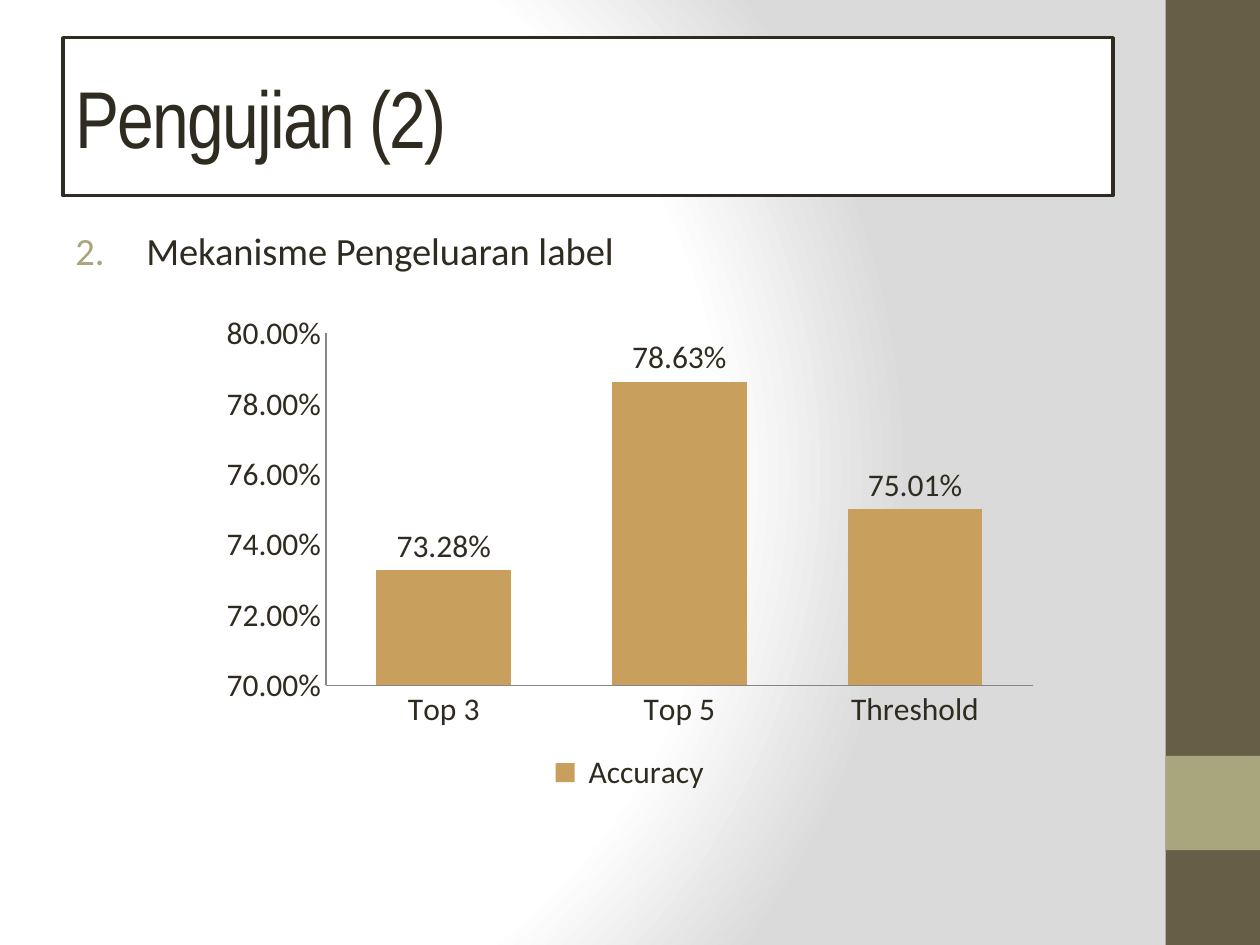
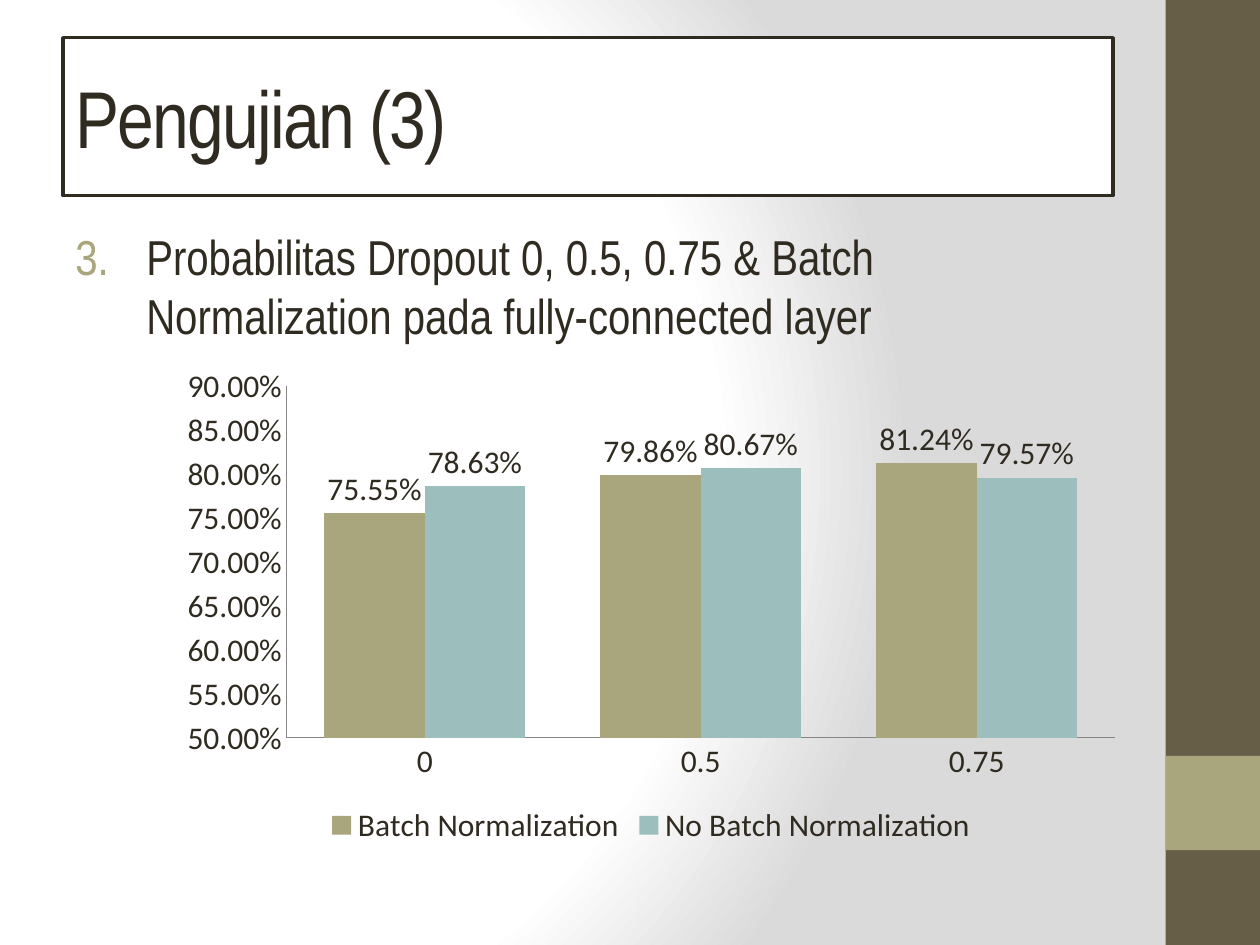
import dataclasses

import pptx
import pptx.chart.data
import pptx.dml.color
import pptx.enum.chart
import pptx.enum.shapes
import pptx.enum.text
import pptx.oxml
import pptx.oxml.ns
import pptx.util

Cm = pptx.util.Cm
Pt = pptx.util.Pt
qn = pptx.oxml.ns.qn

HUES = {
    "ink": "2F2B20",
    "white": "FFFFFF",
    "shade": "DADADA",
    "brown": "675E47",
    "olive": "A9A57C",
    "teal": "9CBEBD",
    "gold": "C89F5D",
    "gray": "868686",
}
NARROW = "Arial Narrow"
PLAIN = "Calibri"


@dataclasses.dataclass(frozen=True)
class Box:
    left: float
    top: float
    width: float
    height: float

    def span(self) -> tuple:
        return Cm(self.left), Cm(self.top), Cm(self.width), Cm(self.height)


@dataclasses.dataclass(frozen=True)
class Band:
    box: Box
    hue: str


@dataclasses.dataclass(frozen=True)
class Bars:
    name: str
    vals: tuple[float, ...]
    hue: str


@dataclasses.dataclass(frozen=True)
class Graph:
    box: Box
    cats: tuple[str, ...]
    bars: tuple[Bars, ...]
    low: float
    high: float
    step: float


@dataclasses.dataclass(frozen=True)
class Test:
    num: int
    text: str
    font: str
    size: int
    graph: Graph


HEAD = Box(1.27, 0.76, 21.17, 3.18)
BODY = Box(1.27, 4.45, 21.17, 13.34)
BANDS = (
    Band(Box(23.5, 0, 1.9, 19.05), "brown"),
    Band(Box(23.5, 15.24, 1.9, 1.9), "olive"),
)
TESTS = (
    Test(2, "Mekanisme Pengeluaran label", PLAIN, 22, Graph(
        Box(4.23, 6.14, 16.93, 9.95),
        ("Top 3", "Top 5", "Threshold"),
        (Bars(" Accuracy", (0.7328, 0.7863, 0.7501), "gold"),),
        0.7, 0.8, 0.02)),
    Test(3, "Probabilitas Dropout 0, 0.5, 0.75 & Batch Normalization "
            "pada fully-connected layer", NARROW, 28, Graph(
        Box(3.39, 7.2, 19.47, 9.95),
        ("0", "0.5", "0.75"),
        (Bars("Batch Normalization", (0.7555, 0.7986, 0.8124), "olive"),
         Bars("No Batch Normalization", (0.7863, 0.8067, 0.7957), "teal")),
        0.5, 0.9, 0.05)),
)


def tint(hue: str) -> pptx.dml.color.RGBColor:
    return pptx.dml.color.RGBColor.from_string(HUES[hue])


def paint(fill, hue: str) -> None:
    fill.solid()
    fill.fore_color.rgb = tint(hue)


def style(font, name: str, size: float) -> None:
    font.name = name
    font.size = Pt(size)
    font.color.rgb = tint("ink")


def parse(xml: str):
    return pptx.oxml.parse_xml(xml.replace(
        ">", f' {pptx.oxml.ns.nsdecls("a")}>' if "/>" not in xml.split(">")[0] + ">"
        else ">", 1))


def wash(slide) -> None:
    slide.background.fill.solid()
    stops = "".join(
        f'<a:gs pos="{pos * 1000}"><a:srgbClr val="{HUES[hue]}"/></a:gs>'
        for pos, hue in ((0, "white"), (75, "white"), (100, "shade")))
    grad = parse(
        f'<a:gradFill rotWithShape="1"><a:gsLst>{stops}</a:gsLst><a:path path="circle">'
        '<a:fillToRect l="20000" t="50000" r="100000" b="50000"/></a:path></a:gradFill>')
    old = next(slide.element.iter(qn("p:bgPr")))[0]
    old.getparent().replace(old, grad)


def draw_band(slide, band: Band) -> None:
    shape = slide.shapes.add_shape(
        pptx.enum.shapes.MSO_SHAPE.RECTANGLE, *band.box.span())
    shape.shadow.inherit = False
    paint(shape.fill, band.hue)
    shape.line.fill.background()


def add_text(slide, box: Box, text: str, *, font: str, size: float,
             track: float = 0, mid: bool = False, frame: bool = False,
             num: int = 0) -> None:
    shape = slide.shapes.add_textbox(*box.span())
    area = shape.text_frame
    area.word_wrap = True
    if mid:
        area.vertical_anchor = pptx.enum.text.MSO_ANCHOR.MIDDLE
    if frame:
        paint(shape.fill, "white")
        shape.line.color.rgb = tint("ink")
        shape.line.width = Pt(2)
    para = area.paragraphs[0]
    run = para.add_run()
    run.text = text
    style(run.font, font, size)
    if track:
        next(shape.element.iter(qn("a:rPr"))).set("spc", str(round(track * 100)))
    if num:
        para.space_before = Pt(size * 0.2)
        props = next(shape.element.iter(qn("a:pPr")))
        dent = Cm(1.43)
        props.set("marL", str(dent))
        props.set("indent", str(-dent))
        list_xml = parse(
            f'<a:pPr><a:buClr><a:srgbClr val="{HUES["olive"]}"/></a:buClr>'
            f'<a:buFont typeface="+mj-lt"/>'
            f'<a:buAutoNum type="arabicPeriod" startAt="{num}"/></a:pPr>')
        list_xml.find(qn("a:buFont")).set("typeface", font)
        props.extend(list(list_xml))


def draw_graph(slide, graph: Graph) -> None:
    data = pptx.chart.data.CategoryChartData(number_format="0.00%")
    data.categories = graph.cats
    for bars in graph.bars:
        data.add_series(bars.name, bars.vals)
    kinds = pptx.enum.chart
    chart = slide.shapes.add_chart(
        kinds.XL_CHART_TYPE.COLUMN_CLUSTERED, *graph.box.span(), data).chart
    style(chart.font, PLAIN, 18)
    chart.has_title = False
    chart.has_legend = True
    chart.legend.position = kinds.XL_LEGEND_POSITION.BOTTOM
    chart.legend.include_in_layout = False
    for axis in (chart.category_axis, chart.value_axis):
        axis.has_major_gridlines = False
        axis.major_tick_mark = kinds.XL_TICK_MARK.NONE
        axis.minor_tick_mark = kinds.XL_TICK_MARK.NONE
        axis.format.line.color.rgb = tint("gray")
        axis.format.line.width = Pt(0.75)
    scale = chart.value_axis
    scale.minimum_scale = graph.low
    scale.maximum_scale = graph.high
    scale.major_unit = graph.step
    scale.tick_labels.number_format = "0.00%"
    scale.tick_labels.number_format_is_linked = False
    plot = chart.plots[0]
    plot.gap_width = 75
    plot.overlap = 0
    plot.vary_by_categories = False
    for row, bars in zip(plot.series, graph.bars):
        paint(row.format.fill, bars.hue)
        tags = row.data_labels
        tags.show_value = True
        tags.number_format = "0.00%"
        tags.number_format_is_linked = False
        tags.position = kinds.XL_LABEL_POSITION.OUTSIDE_END


def draw_test(deck, test: Test) -> None:
    slide = deck.slides.add_slide(deck.slide_layouts[6])
    wash(slide)
    for band in BANDS:
        draw_band(slide, band)
    add_text(slide, HEAD, f"Pengujian ({test.num})", font=NARROW, size=46,
             track=-1, mid=True, frame=True)
    add_text(slide, BODY, test.text, font=test.font, size=test.size, num=test.num)
    draw_graph(slide, test.graph)


def main() -> None:
    deck = pptx.Presentation()
    deck.slide_width = Cm(25.4)
    deck.slide_height = Cm(19.05)
    for test in TESTS:
        draw_test(deck, test)
    deck.save("out.pptx")


if __name__ == "__main__":
    main()
